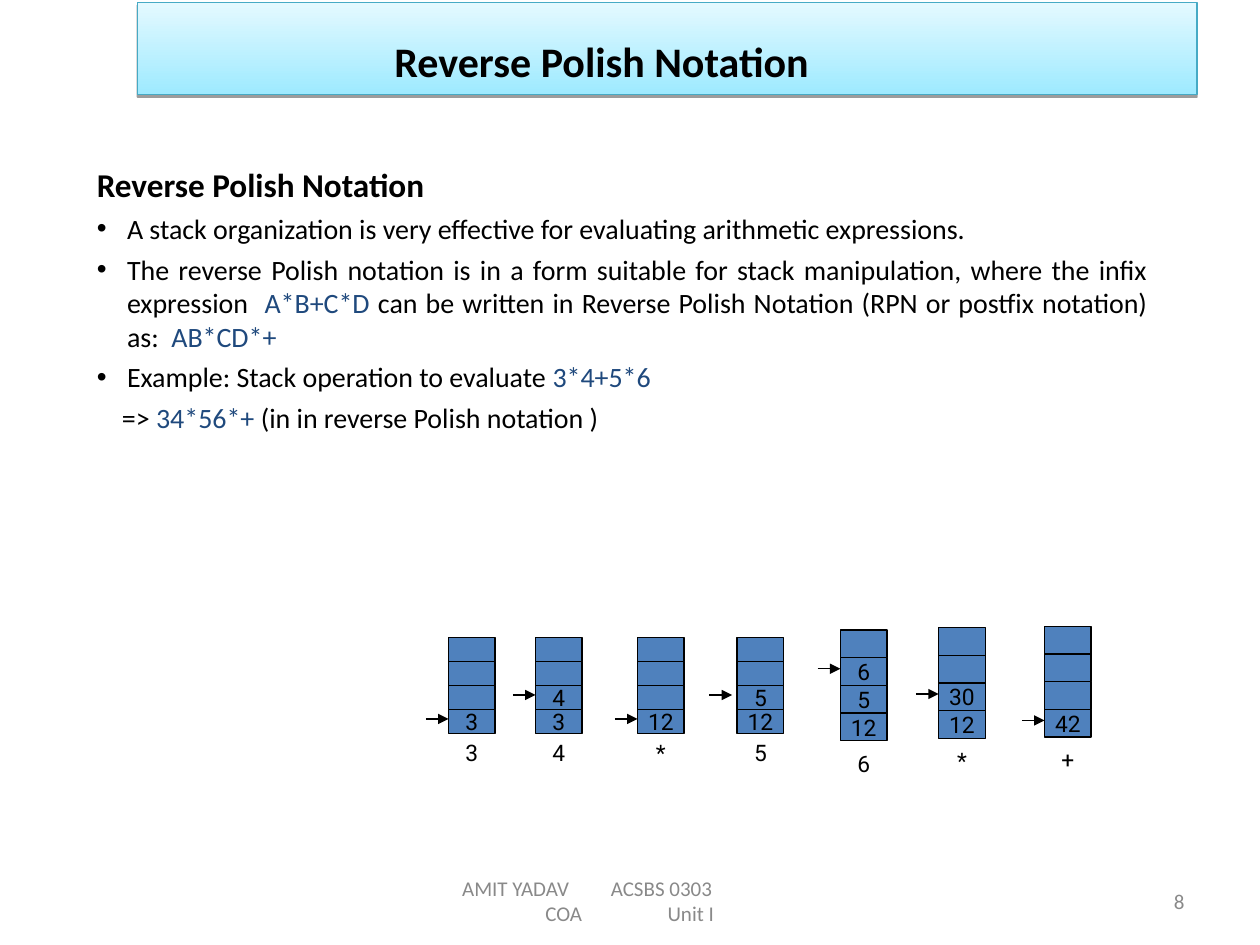
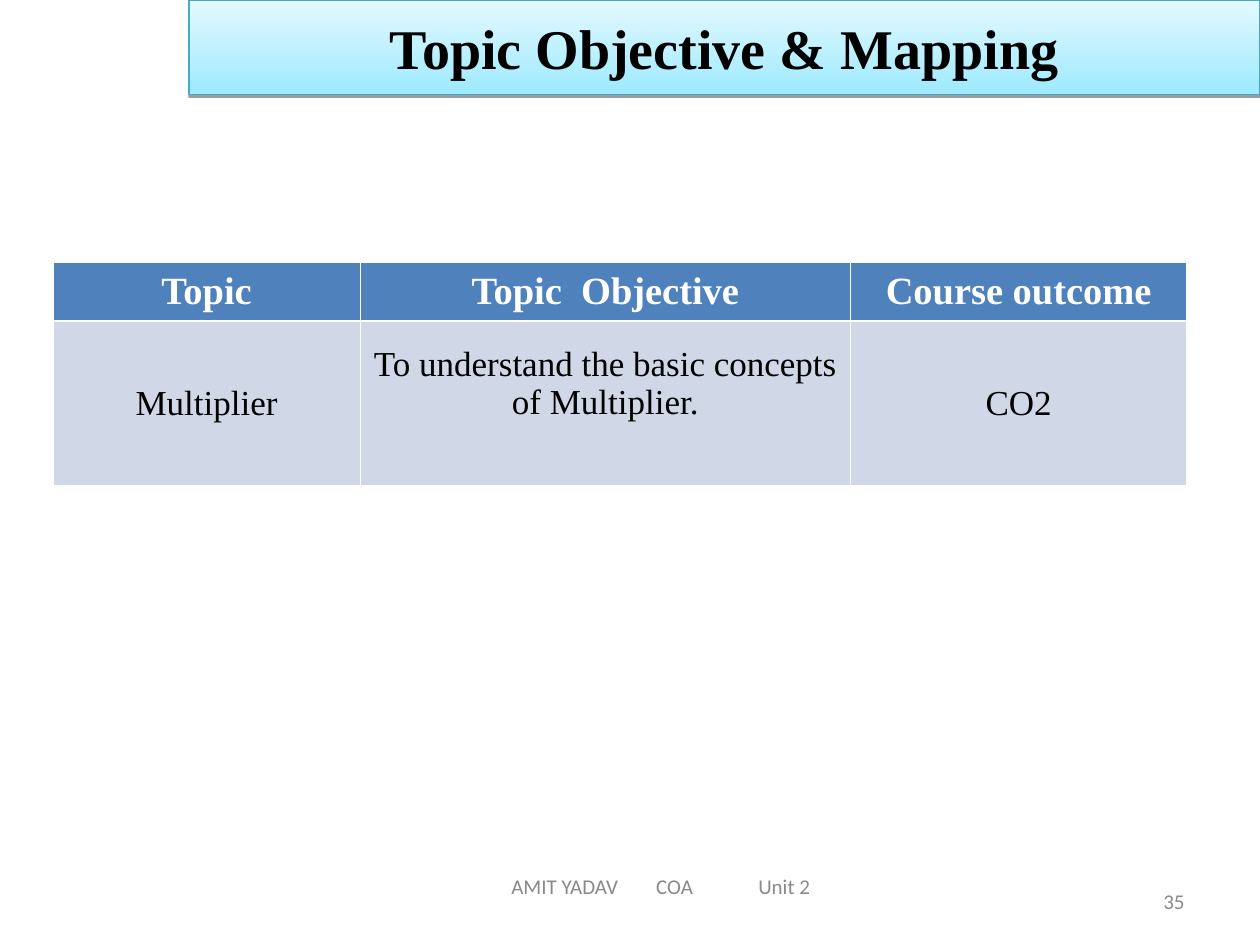
from dataclasses import dataclass

from lxml import etree
from pptx import Presentation
from pptx import util as u
from pptx.dml.color import RGBColor
from pptx.enum import shapes, text
from pptx.oxml import ns

# One grid unit is a tenth of the slide's width
COLUMNS, ROWS = 10, 7.5
UNIT = u.Inches(10) // COLUMNS


@dataclass(frozen=True)
class Theme:
    black: str = "000000"
    white: str = "FFFFFF"
    grey: str = "898989"
    expression: str = "1F497D"
    accent: str = "4F81BD"
    table_body: str = "D0D8E8"
    band_bottom: str = "9EEAFF"
    band_top: str = "E4F9FF"
    band_line: str = "46AAC5"
    sans: str = "Calibri"
    serif: str = "Times New Roman"
    diagram: str = "Roboto"
    footer_size: float = 12
    diagram_size: float = 13
    body_size: float = 16
    heading_size: float = 19
    cell_size: float = 20
    header_size: float = 22
    title_size: float = 24
    large_title_size: float = 32
    thin: float = 0.75


THEME = Theme()
ALIGN = text.PP_ALIGN


@dataclass(frozen=True)
class Stack:
    left: float
    top: float
    cell: float
    values: tuple  # from the bottom upwards
    symbol: str
    arrow_gap: float = 0


STACKS = [
    Stack(3.56, 5.06, 0.19, ("3",), "3"),
    Stack(4.25, 5.06, 0.19, ("3", "4"), "4"),
    Stack(5.06, 5.06, 0.19, ("12",), "*"),
    Stack(5.85, 5.06, 0.19, ("12", "5"), "5", 0.04),
    Stack(6.67, 5.0, 0.22, ("12", "5", "6"), "6"),
    Stack(7.45, 4.98, 0.22, ("12", "30"), "*"),
    Stack(8.29, 4.97, 0.22, ("42",), "+"),
]
STACK_DEPTH, STACK_WIDTH, ARROW_LENGTH = 4, 0.37, 0.18


def grid(*lengths):
    return [round(length * UNIT) for length in lengths]


def rgb(color):
    return RGBColor.from_string(color)


def add_xml(parent, tag, **attributes):
    child = etree.SubElement(parent, ns.qn(tag))
    for name, value in attributes.items():
        child.set(name, str(value))
    return child


def add_solid(parent, color):
    return add_xml(add_xml(parent, "a:solidFill"), "a:srgbClr", val=color)


def write(frame, content, *, font=THEME.sans, size=THEME.body_size,
          color=THEME.black, bold=False, align=ALIGN.LEFT, before=0,
          spacing=None, margin=0, bullet=None, tabs=()):
    """Add a paragraph; content is a string or a list of (string, color)."""
    paragraph = frame.paragraphs[0]
    if paragraph.runs:
        paragraph = frame.add_paragraph()
    properties = paragraph._p.get_or_add_pPr()
    if margin:
        properties.set("marL", str(grid(margin)[0]))
        properties.set("indent", str(grid(-margin if bullet else 0)[0]))
    if bullet:
        add_xml(properties, "a:buFont", typeface="Arial")
        add_xml(properties, "a:buChar", char=bullet)
    if tabs:
        tab_list = add_xml(properties, "a:tabLst")
        for position in tabs:
            add_xml(tab_list, "a:tab", pos=grid(position)[0], algn="l")
    paragraph.alignment = align
    paragraph.space_before = u.Pt(before)
    if spacing:
        paragraph.line_spacing = spacing
    runs = [(content, color)] if isinstance(content, str) else content
    for words, run_color in runs:
        run = paragraph.add_run()
        run.text = words
        run.font.name, run.font.size, run.font.bold = font, u.Pt(size), bold
        run.font.color.rgb = rgb(run_color)


def add_text_box(slide, box, anchor=text.MSO_ANCHOR.MIDDLE, wrap=True):
    frame = slide.shapes.add_textbox(*grid(*box)).text_frame
    frame.word_wrap = wrap
    frame.vertical_anchor = anchor
    return frame


def add_rectangle(slide, box, line):
    shape = slide.shapes.add_shape(shapes.MSO_SHAPE.RECTANGLE, *grid(*box))
    shape.shadow.inherit = False
    shape.line.color.rgb = rgb(line)
    shape.line.width = u.Pt(THEME.thin)
    shape.text_frame.vertical_anchor = text.MSO_ANCHOR.MIDDLE
    return shape


def add_title_band(slide, box, title, inset=0.1, **style):
    shape = add_rectangle(slide, box, THEME.band_line)
    shape.fill.gradient()
    shape.fill.gradient_angle = 90
    stops = zip(shape.fill.gradient_stops, (THEME.band_bottom, THEME.band_top))
    for position, (stop, color) in enumerate(stops):
        stop.position = position
        stop.color.rgb = rgb(color)
    effects = shape._element.spPr.find(ns.qn("a:effectLst"))
    shadow = add_xml(effects, "a:outerShdw", blurRad=0, dist=u.Pt(1.6),
                     dir=5400000, rotWithShape=0)
    add_xml(add_xml(shadow, "a:srgbClr", val=THEME.black), "a:alpha", val=38000)
    shape.text_frame.word_wrap = True
    shape.text_frame.margin_left = grid(inset)[0]
    write(shape.text_frame, title, bold=True, **style)


def add_footer(slide, box, lines, number):
    """Each footer line is its words and the tab stops they start from."""
    style = dict(size=THEME.footer_size, color=THEME.grey)
    frame = add_text_box(slide, box)
    for words, tabs in lines:
        write(frame, "".join("\t" + word for word in words), tabs=tabs, **style)
    write(add_text_box(slide, (7.17, 6.95, 2.33, 0.4)), number,
          align=ALIGN.RIGHT, **style)


def add_arrow(slide, start, end, y):
    arrow = slide.shapes.add_connector(
        shapes.MSO_CONNECTOR.STRAIGHT, *grid(start, y, end, y))
    arrow.line.color.rgb = rgb(THEME.black)
    arrow.line.width = u.Pt(THEME.thin)
    add_xml(arrow.line._get_or_add_ln(), "a:tailEnd", type="triangle")
    add_xml(arrow._element.spPr, "a:effectLst")


def add_stack(slide, stack):
    style = dict(font=THEME.diagram, size=THEME.diagram_size, align=ALIGN.CENTER)
    for level in range(STACK_DEPTH):
        top = stack.top + (STACK_DEPTH - 1 - level) * stack.cell
        shape = add_rectangle(
            slide, (stack.left, top, STACK_WIDTH, stack.cell), THEME.black)
        shape.fill.solid()
        shape.fill.fore_color.rgb = rgb(THEME.accent)
        shape.text_frame.word_wrap = False
        if level < len(stack.values):
            write(shape.text_frame, stack.values[level], **style)

    # Symbol just read, and the pointer to the top of the stack
    label_top = stack.top + 4.3 * stack.cell
    label = add_text_box(
        slide, (stack.left, label_top, STACK_WIDTH, stack.cell), wrap=False)
    write(label, stack.symbol, **style)
    end = stack.left - stack.arrow_gap
    pointer = stack.top + (STACK_DEPTH - len(stack.values) + 0.4) * stack.cell
    add_arrow(slide, end - ARROW_LENGTH, end, pointer)


def set_borders(cell, top, bottom):
    properties = cell._tc.get_or_add_tcPr()
    widths = {"a:lnL": 0.45, "a:lnR": 0.45, "a:lnT": top, "a:lnB": bottom}
    for index, (tag, width) in enumerate(widths.items()):
        line = etree.Element(ns.qn(tag), w=str(u.Pt(width)))
        add_solid(line, THEME.white)
        properties.insert(index, line)


def add_mapping_table(slide, box, widths, heights, rows):
    table = slide.shapes.add_table(len(rows), len(widths), *grid(*box)).table
    for column, width in zip(table.columns, grid(*widths)):
        column.width = width
    for row, height in zip(table.rows, grid(*heights)):
        row.height = height
    header = dict(size=THEME.header_size, color=THEME.white, bold=True)
    body = dict(size=THEME.cell_size)
    for row_index, row in enumerate(rows):
        is_header = row_index == 0
        for column_index, words in enumerate(row):
            cell = table.cell(row_index, column_index)
            cell.fill.solid()
            cell.fill.fore_color.rgb = rgb(
                THEME.accent if is_header else THEME.table_body)
            cell.vertical_anchor = text.MSO_ANCHOR.MIDDLE
            set_borders(cell, *((0.45, 1.47) if is_header else (1.47, 0.45)))
            write(cell.text_frame, words, font=THEME.serif, align=ALIGN.CENTER,
                  **(header if is_header else body))
    return table


def build_notation_slide(slide):
    add_footer(slide, (3.42, 6.95, 3.17, 0.4),
               [(("AMIT YADAV", "ACSBS 0303"), (0.15, 1.33)),
                (("COA", "Unit I"), (0.81, 1.78))], "8")
    add_title_band(slide, (1.09, 0.02, 8.41, 0.73), "Reverse Polish Notation",
                   inset=2.04, size=THEME.title_size, spacing=1.5)

    # Explanation
    frame = add_text_box(slide, (0.67, 1.1, 8.54, 5.02), text.MSO_ANCHOR.TOP)
    write(frame, "Reverse Polish Notation", size=THEME.heading_size, bold=True,
          spacing=1.5)
    black, blue = THEME.black, THEME.expression
    points = [
        [("A stack organization is very effective for evaluating arithmetic "
          "expressions.", black)],
        [("The reverse Polish notation is in a form suitable for stack "
          "manipulation, where the infix expression  ", black),
         ("A*B+C*D ", blue),
         ("can be written in Reverse Polish Notation (RPN or postfix "
          "notation) as:  ", black),
         ("AB*CD*+", blue)],
        [("Example: Stack operation to evaluate ", black), ("3*4+5*6", blue)],
    ]
    for point in points:
        write(frame, point, align=ALIGN.JUSTIFY, before=4, margin=0.24, bullet="•")
    write(frame, [("=> ", black), ("34*56*+", blue),
                  (" (in in reverse Polish notation )", black)],
          before=4, margin=0.2)

    # Evaluation steps
    for stack in STACKS:
        add_stack(slide, stack)


def build_objective_slide(slide):
    add_title_band(slide, (1.5, 0, 8.5, 0.75), "Topic Objective & Mapping",
                   font=THEME.serif, size=THEME.large_title_size,
                   align=ALIGN.CENTER)
    add_footer(slide, (2.5, 6.83, 5.5, 0.4),
               [(("AMIT YADAV", "COA", "Unit 2"), (1.46, 2.61, 3.42))], "35")
    table = add_mapping_table(
        slide, (0.42, 2.08, 9, 1.77), (2.44, 3.89, 2.67), (0.47, 1.3),
        [("Topic", "Topic  Objective", "Course outcome"),
         ("Multiplier", "To understand the basic concepts of Multiplier.", "CO2")])
    table.cell(1, 1).margin_bottom = grid(0.36)[0]


def main():
    presentation = Presentation()
    presentation.slide_width, presentation.slide_height = grid(COLUMNS, ROWS)
    blank = presentation.slide_layouts[6]
    for build in (build_notation_slide, build_objective_slide):
        build(presentation.slides.add_slide(blank))
    presentation.save("out.pptx")


if __name__ == "__main__":
    main()
